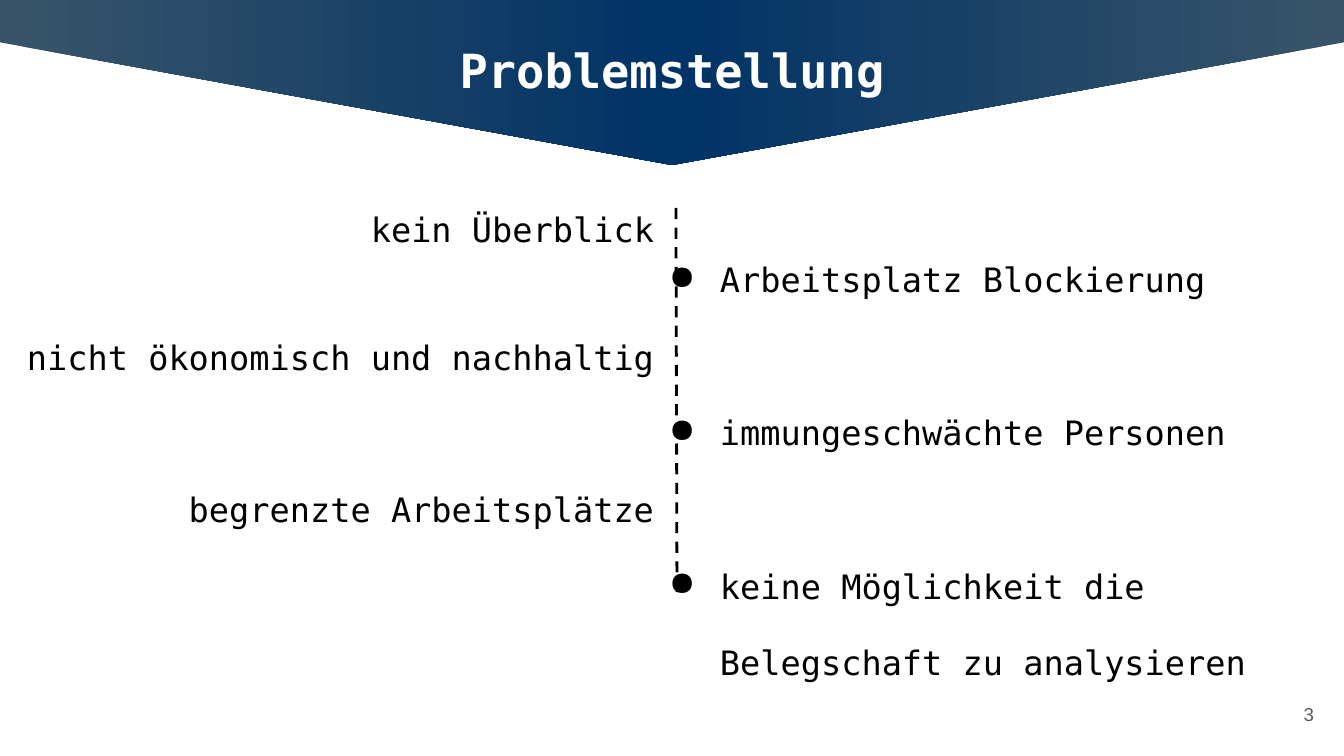
from lxml import etree
from pptx import Presentation
from pptx.dml.color import RGBColor
from pptx.enum.dml import MSO_LINE
from pptx.enum.shapes import MSO_CONNECTOR, MSO_SHAPE
from pptx.enum.text import MSO_ANCHOR, PP_ALIGN
from pptx.oxml import parse_xml
from pptx.oxml.ns import nsdecls, qn
from pptx.util import Pt

PX = 914400 / 134.4
WIDTH, HEIGHT = 1344, 756
INSET = 13
MONO, SANS = "DejaVu Sans Mono", "Arial"
SLATE = RGBColor(0x39, 0x54, 0x68)
NAVY = RGBColor(0x00, 0x33, 0x66)
WHITE = RGBColor(0xFF, 0xFF, 0xFF)
BLACK = RGBColor(0x00, 0x00, 0x00)
GREY = RGBColor(0x59, 0x59, 0x59)


def px(n):
    return round(n * PX)


def add_text(s, box, items, size, color, font=MONO, bold=False,
             align=PP_ALIGN.LEFT, spacing=1.0, gaps=(), anchor=MSO_ANCHOR.TOP):
    """Place one paragraph per item; gaps are the points between them."""
    tf = s.shapes.add_textbox(*map(px, box)).text_frame
    tf.word_wrap = True
    tf.vertical_anchor = anchor
    tf.margin_left = tf.margin_right = px(INSET)
    tf.margin_top = tf.margin_bottom = px(INSET)
    for i, item in enumerate(items):
        p = tf.paragraphs[0] if i == 0 else tf.add_paragraph()
        p.text = item
        p.alignment = align
        p.line_spacing = spacing
        if i:
            p.space_before = Pt(gaps[i - 1])
        f = p.font
        f.name, f.size, f.bold = font, Pt(size), bold
        f.color.rgb = color
    return tf


def add_bullet(p, indent, hanging):
    pPr = p._p.get_or_add_pPr()
    pPr.set("marL", str(px(indent)))
    pPr.set("indent", str(-px(hanging)))
    bullet = parse_xml(f'<a:buChar {nsdecls("a")} char="●"/>')
    pPr.insert_element_before(bullet, "a:tabLst", "a:defRPr", "a:extLst")


def add_banner(s, box):
    """Downward arrow plate, a pentagon turned by 90 degrees, with the title."""
    x, y, w, h = box
    left, top = x + (w - h) / 2, y + (h - w) / 2
    sp = s.shapes.add_shape(MSO_SHAPE.PENTAGON, px(left), px(top), px(h), px(w))
    sp.rotation = 90
    sp.adjustments[0] = 0.73
    sp.shadow.inherit = False
    sp.line.fill.background()
    stops = "".join(
        f'<a:gs pos="{pos}000"><a:srgbClr val="{color}"/></a:gs>'
        for pos, color in ((0, SLATE), (50, NAVY), (100, SLATE)))
    grad = parse_xml(
        f'<a:gradFill {nsdecls("a")} rotWithShape="1"><a:gsLst>{stops}</a:gsLst>'
        '<a:lin ang="5400000" scaled="0"/></a:gradFill>')
    sp._element.spPr.find(qn("a:prstGeom")).addnext(grad)
    add_text(s, (x + 445, y + 32, 454, 85), ["Problemstellung"], 25.2, WHITE,
             bold=True, align=PP_ALIGN.CENTER)


def add_divider(s, x, top, bottom):
    line = s.shapes.add_connector(
        MSO_CONNECTOR.STRAIGHT, px(x), px(top), px(x + 1), px(bottom))
    line.line.color.rgb = BLACK
    line.line.width = Pt(1.5)
    line.line.dash_style = MSO_LINE.DASH
    etree.SubElement(line._element.spPr, qn("a:effectLst"))


def add_left_column(s, box):
    add_text(s, box,
             ["kein Überblick", "nicht ökonomisch und nachhaltig",
              "begrenzte Arbeitsplätze"],
             18, BLACK, align=PP_ALIGN.RIGHT, spacing=1.6, gaps=(34, 47))


def add_right_column(s, box):
    tf = add_text(s, box,
                  ["Arbeitsplatz Blockierung", "immungeschwächte Personen",
                   "keine Möglichkeit die \vBelegschaft zu analysieren"],
                  18, BLACK, spacing=1.9, gaps=(41, 41))
    for p in tf.paragraphs:
        add_bullet(p, 67, 51)


def add_page_number(s, box):
    add_text(s, box, ["3"], 10, GREY, font=SANS, align=PP_ALIGN.RIGHT,
             anchor=MSO_ANCHOR.MIDDLE)


def main():
    prs = Presentation()
    prs.slide_width, prs.slide_height = px(WIDTH), px(HEIGHT)
    s = prs.slides.add_slide(prs.slide_layouts[6])
    add_banner(s, (0, -3, WIDTH, 168))
    add_right_column(s, (640, 210, 765, 500))
    add_page_number(s, (1246, 685, 81, 58))
    add_divider(s, 676, 208, 594)
    add_left_column(s, (-98, 172, 765, 540))
    prs.save("out.pptx")


if __name__ == "__main__":
    main()
